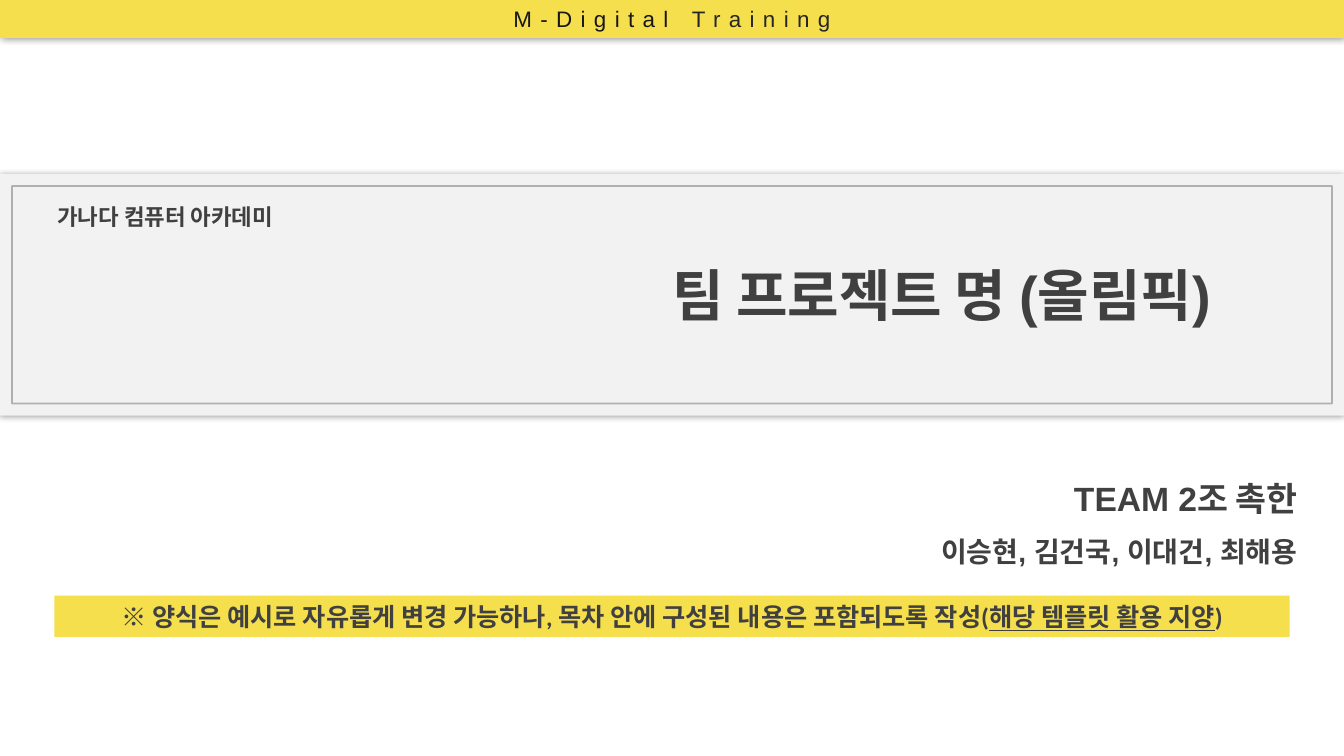
from lxml import etree
from pptx import Presentation, util as u
from pptx.dml.color import RGBColor
from pptx.enum import shapes, text
from pptx.oxml.ns import qn

WIDTH, HEIGHT = 13.33, 7.5
YELLOW = RGBColor(0xF5, 0xDF, 0x4D)
PALE = RGBColor(0xF2, 0xF2, 0xF2)
DARK = RGBColor(0x40, 0x40, 0x40)
INK = RGBColor(0x18, 0x17, 0x17)
SOFT_INK = RGBColor(0x26, 0x26, 0x26)
FRAME_GREY = RGBColor(0x93, 0x95, 0x97)
KOREAN = "Noto Sans CJK KR"
CENTER, RIGHT = text.PP_ALIGN.CENTER, text.PP_ALIGN.RIGHT
TOP, MIDDLE = text.MSO_ANCHOR.TOP, text.MSO_ANCHOR.MIDDLE


def place(shape, box):
    for name, value in zip(("left", "top", "width", "height"), box):
        setattr(shape, name, u.Inches(value))


def set_frame(shape, anchor=TOP, side=0.1, edge=0.05):
    settings = {
        "word_wrap": True, "auto_size": text.MSO_AUTO_SIZE.NONE, "vertical_anchor": anchor,
        "margin_left": u.Inches(side), "margin_right": u.Inches(side),
        "margin_top": u.Inches(edge), "margin_bottom": u.Inches(edge),
    }
    for name, value in settings.items():
        setattr(shape.text_frame, name, value)


def write(paragraph, runs, align=CENTER, line_spacing=1.0, letter_spacing=0, **font):
    """Fill a paragraph from (wording, font differences) pairs."""
    layout = {"alignment": align, "line_spacing": line_spacing,
              "space_before": u.Pt(0), "space_after": u.Pt(0)}
    for name, value in layout.items():
        setattr(paragraph, name, value)
    for wording, changes in runs:
        run = paragraph.add_run()
        run.text = wording
        style = {"name": "Arial", "bold": True, "color": DARK, **font, **changes}
        run.font.color.rgb = style.pop("color")
        for name, value in style.items():
            setattr(run.font, name, value)
        properties = run._r.get_or_add_rPr()
        etree.SubElement(properties, qn("a:ea"), typeface=KOREAN)
        if letter_spacing:
            properties.set("spc", str(letter_spacing * 100))


def add_rectangle(slide, box, fill=None, shadow=False):
    shape = slide.shapes.add_shape(shapes.MSO_SHAPE.RECTANGLE, 0, 0, 0, 0)
    place(shape, box)
    shape.shadow.inherit = False
    shape.line.fill.background()
    if fill is None:
        shape.fill.background()
    else:
        shape.fill.solid()
        shape.fill.fore_color.rgb = fill
    if shadow:
        effects = shape.element.spPr.find(qn("a:effectLst"))
        outer = etree.SubElement(effects, qn("a:outerShdw"), blurRad=str(u.Pt(5)),
                                 dist="0", dir="0", algn="ctr", rotWithShape="0")
        color = etree.SubElement(outer, qn("a:srgbClr"), val="000000")
        etree.SubElement(color, qn("a:alpha"), val="40000")
    return shape


def add_team(slide, box):
    team = slide.placeholders[1]
    place(team, box)
    set_frame(team, edge=0)
    lines = (("TEAM 2조 촉한", 24), ("이승현, 김건국, 이대건, 최해용", 20))
    for index, (wording, size) in enumerate(lines):
        frame = team.text_frame
        paragraph = frame.add_paragraph() if index else frame.paragraphs[0]
        write(paragraph, [(wording, {})], RIGHT, 1.5, size=u.Pt(size))


def add_notice(slide, box):
    notice = add_rectangle(slide, box, YELLOW)
    set_frame(notice, MIDDLE)
    runs = [
        ("※ 양식은 예시로 자유롭게 변경 가능하나, 목차 안에 구성된 내용은 포함되도록 작성(", {}),
        ("해당 템플릿 활용 지양", {"underline": True}),
        (")", {}),
    ]
    write(notice.text_frame.paragraphs[0], runs, name="Calibri", size=u.Pt(18))


def add_title_band(slide, box, inset=0.12):
    left, top, width, height = box
    add_rectangle(slide, box, PALE, shadow=True)

    academy = slide.shapes.add_textbox(0, 0, 0, 0)
    place(academy, (left + 0.015 * width, top + 0.1 * height, 0.216 * width, 0.37))
    set_frame(academy)
    write(academy.text_frame.paragraphs[0], [("가나다 컴퓨터 아카데미", {})],
          name=KOREAN, size=u.Pt(16))

    title = slide.shapes.title
    title.element.getparent().append(title.element)  # bring in front of the band
    place(title, (left + 0.423 * width, top + 0.36 * height, 0.555 * width, 0.67))
    set_frame(title, edge=0)
    write(title.text_frame.paragraphs[0], [("팀 프로젝트 명 (올림픽)", {})], size=u.Pt(40))

    border = add_rectangle(slide, (left + inset, top + inset,
                                   width - 2 * inset, height - 2 * inset))
    border.line.color.rgb = FRAME_GREY
    border.line.width = u.Pt(1.25)
    color = border.element.spPr.find(qn("a:ln")).find(".//" + qn("a:srgbClr"))
    etree.SubElement(color, qn("a:alpha"), val="70000")


def add_header(slide, box):
    header = add_rectangle(slide, box, YELLOW, shadow=True)
    set_frame(header, MIDDLE)
    runs = [("M-Digital ", {"color": INK}), ("Training", {"color": SOFT_INK})]
    write(header.text_frame.paragraphs[0], runs, letter_spacing=6, size=u.Pt(16), bold=False)


def main():
    presentation = Presentation()
    presentation.slide_width, presentation.slide_height = u.Inches(WIDTH), u.Inches(HEIGHT)
    slide = presentation.slides.add_slide(presentation.slide_layouts[0])
    add_team(slide, (0.55 * WIDTH, 4.54, 0.423 * WIDTH, 0.14 * HEIGHT))
    add_notice(slide, (0.54, 5.91, WIDTH - 2 * 0.54, 0.41))
    add_title_band(slide, (0, 0.23 * HEIGHT, WIDTH, 0.32 * HEIGHT))
    add_header(slide, (0, 0, WIDTH, 0.05 * HEIGHT))
    presentation.save("out.pptx")


if __name__ == "__main__":
    main()
